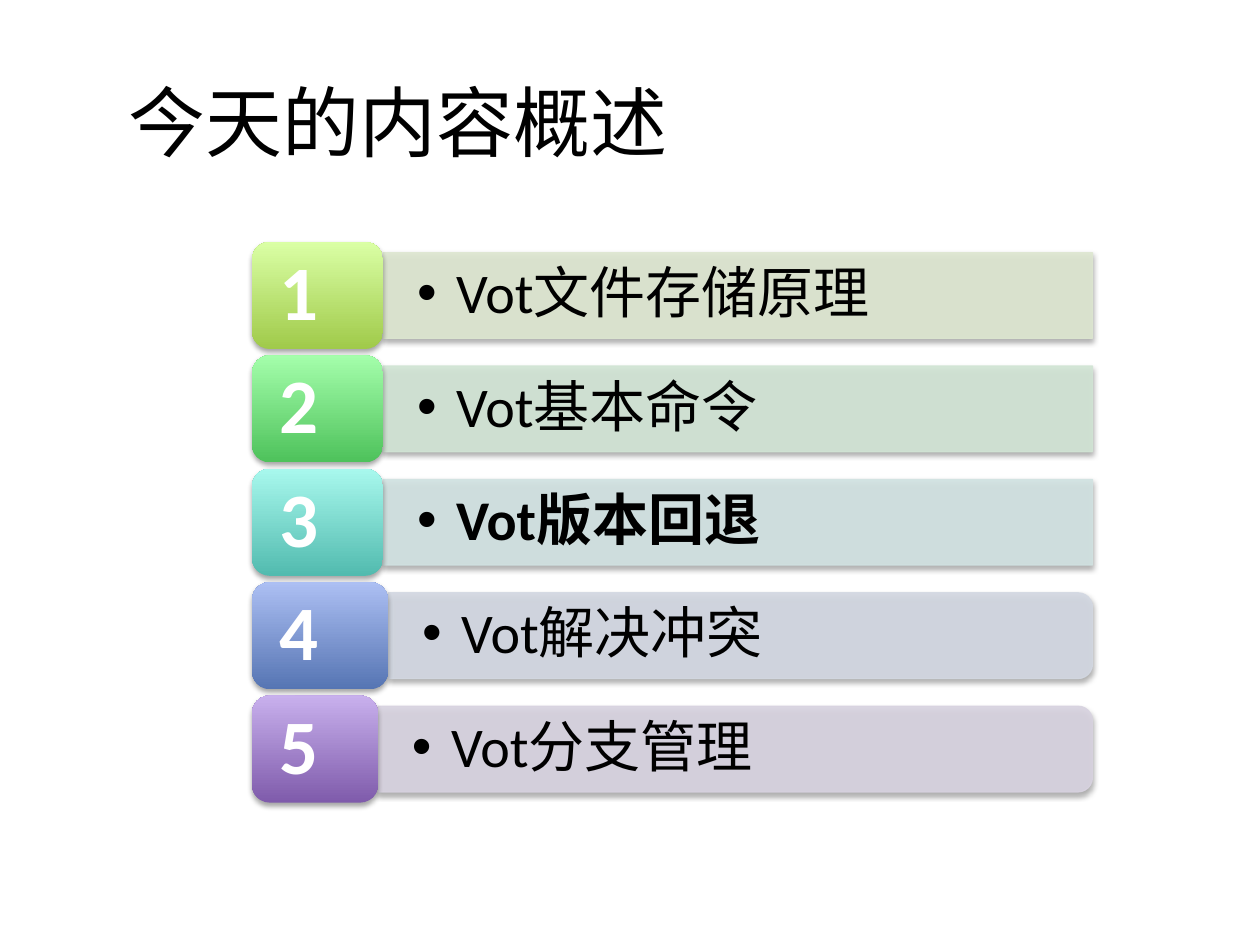
from lxml.etree import SubElement
from pptx import Presentation
from pptx.dml.color import RGBColor
from pptx.enum.shapes import MSO_SHAPE as Shape
from pptx.enum.text import MSO_ANCHOR as Anchor, PP_ALIGN as Align
from pptx.oxml.ns import qn
from pptx.util import Inches, Pt

BLACK = RGBColor(0x00, 0x00, 0x00)
WHITE = RGBColor(0xFF, 0xFF, 0xFF)
OLIVE, LIME_DARK, LIME = map(RGBColor.from_string, ("DEE7D1", "A0CA4A", "DAFFA5"))
SAGE, GREEN_DARK, GREEN = map(RGBColor.from_string, ("D2E5D5", "4EC25B", "A4FEAB"))
MIST, TEAL_DARK, TEAL = map(RGBColor.from_string, ("D2E3E2", "52BBAF", "A8F8ED"))
STEEL, BLUE_DARK, BLUE = map(RGBColor.from_string, ("D3D8E2", "5675B3", "ACBFF3"))
LILAC, PURPLE_DARK, PURPLE = map(RGBColor.from_string, ("D8D3E0", "7F5BAB", "C8B0ED"))

LEFT, RIGHT, TOP, PITCH = 2, 8.67, 1.92, 0.9
TILE_HEIGHT, BAR_HEIGHT = 0.85, 0.68

# topic, bold, bar shape, tile width, bar colour, dark and light tile colours
TOPICS = [
    ("Vot文件存储原理", False, Shape.RECTANGLE, 1.04, OLIVE, LIME_DARK, LIME),
    ("Vot基本命令", False, Shape.RECTANGLE, 1.04, SAGE, GREEN_DARK, GREEN),
    ("Vot版本回退", True, Shape.RECTANGLE, 1.04, MIST, TEAL_DARK, TEAL),
    ("Vot解决冲突", False, Shape.ROUND_2_SAME_RECTANGLE, 1.08, STEEL, BLUE_DARK, BLUE),
    ("Vot分支管理", False, Shape.ROUND_2_SAME_RECTANGLE, 1, LILAC, PURPLE_DARK, PURPLE),
]


def add_soft_shadow(shape):
    shape.shadow.inherit = False
    effects = shape._element.spPr.find(qn("a:effectLst"))
    shadow = SubElement(effects, qn("a:outerShdw"), blurRad=str(Pt(3.1)),
                        dist=str(Pt(1.8)), dir="5400000", rotWithShape="0")
    color = SubElement(shadow, qn("a:srgbClr"), val="000000")
    SubElement(color, qn("a:alpha"), val="35000")


def write_text(shape, text, size, color, bold, margin_x, margin_y):
    """Put one left-aligned, vertically centred line in the shape."""
    frame = shape.text_frame
    frame.word_wrap = True
    frame.vertical_anchor = Anchor.MIDDLE
    frame.margin_left = frame.margin_right = Inches(margin_x)
    frame.margin_top = frame.margin_bottom = Inches(margin_y)
    paragraph = frame.paragraphs[0]
    paragraph.alignment = Align.LEFT
    paragraph.line_spacing = 0.9
    run = paragraph.add_run()
    run.text = text
    run.font.name = "Calibri"
    run.font.size = Pt(size)
    run.font.bold = bold
    run.font.color.rgb = color
    return paragraph


presentation = Presentation()
presentation.slide_width = Inches(10)
presentation.slide_height = Inches(7.5)
slide = presentation.slides.add_slide(presentation.slide_layouts[6])

for index, (topic, bold, bar_shape, tile_width, bar_color, dark, light) in enumerate(TOPICS):
    tile_top = TOP + index * PITCH
    bar_left = LEFT + tile_width
    bar_width = RIGHT - bar_left
    middle = tile_top + TILE_HEIGHT / 2

    # The bar stands upright and is turned, so its rounded end faces right
    bar = slide.shapes.add_shape(
        bar_shape, Inches((bar_left + RIGHT - BAR_HEIGHT) / 2), Inches(middle - bar_width / 2),
        Inches(BAR_HEIGHT), Inches(bar_width))
    bar.rotation = 90
    bar.fill.solid()
    bar.fill.fore_color.rgb = bar_color
    bar.line.color.rgb = bar_color
    bar.line.width = Pt(0.75)
    for color in bar._element.spPr.iter(qn("a:srgbClr")):
        SubElement(color, qn("a:alpha"), val="90000")
    add_soft_shadow(bar)

    label = slide.shapes.add_textbox(
        Inches(bar_left), Inches(middle - BAR_HEIGHT / 2), Inches(bar_width), Inches(BAR_HEIGHT))
    paragraph = write_text(label, topic, 32, BLACK, bold, 0.27, 0.14)
    properties = paragraph._p.get_or_add_pPr()
    properties.set("marL", str(Inches(0.31)))
    properties.set("indent", str(Inches(-0.31)))
    SubElement(properties, qn("a:buFont"), typeface="Arial")
    SubElement(properties, qn("a:buChar"), char="•")

    tile = slide.shapes.add_shape(
        Shape.ROUNDED_RECTANGLE, Inches(LEFT), Inches(tile_top),
        Inches(tile_width), Inches(TILE_HEIGHT))
    tile.fill.gradient()
    tile.fill.gradient_angle = 90
    for stop, color, position in zip(tile.fill.gradient_stops, (dark, light), (0, 1)):
        stop.color.rgb = color
        stop.position = position
    tile.line.fill.background()
    add_soft_shadow(tile)
    write_text(tile, str(index + 1), 44, WHITE, True, 0.18, 0.09)

title = slide.shapes.add_textbox(Inches(0.92), Inches(0.33), Inches(8.83), Inches(1.25))
write_text(title, "今天的内容概述", 44, BLACK, False, 0.1, 0.05).line_spacing = 1.0

presentation.save("out.pptx")
